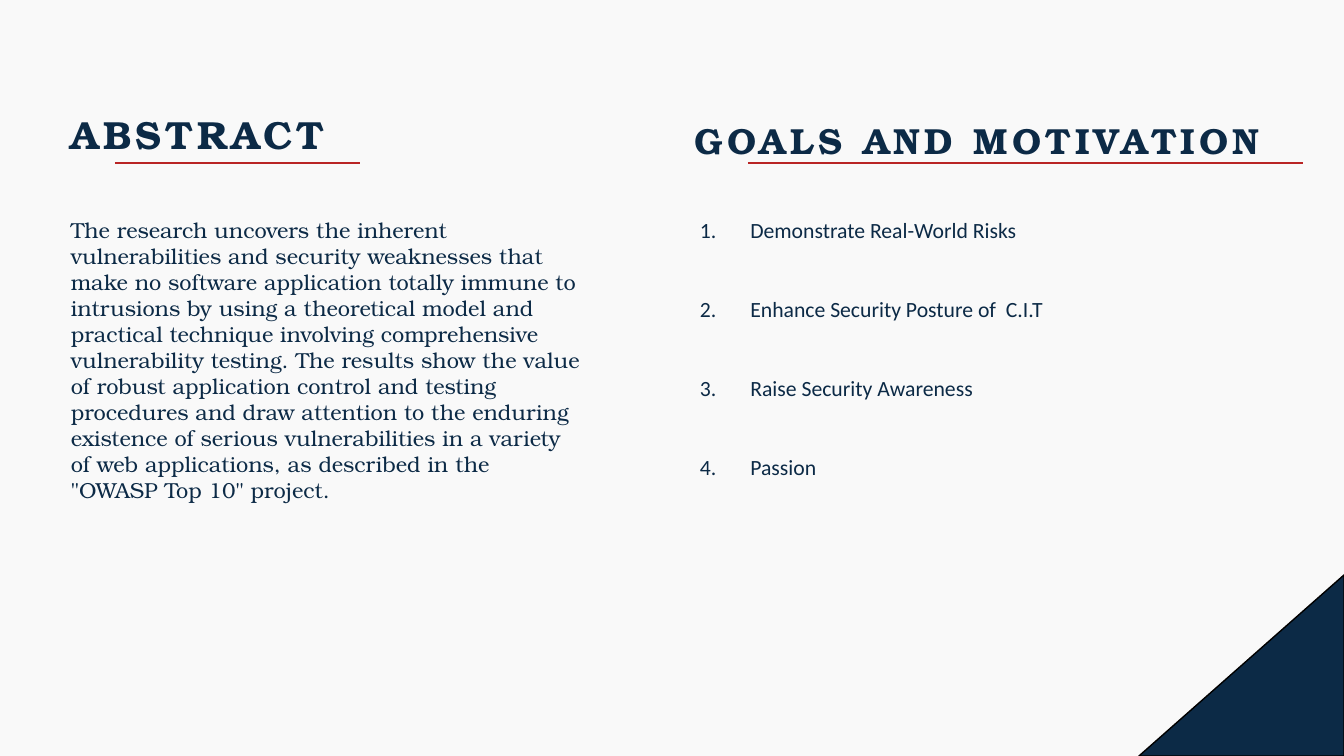
import pptx
import pptx.util
import pptx.dml.color
import pptx.enum.shapes
import pptx.enum.text
import pptx.oxml
import pptx.oxml.ns

COLORS = {"paper": "F9F9F9", "navy": "0C2A46", "red": "B92525", "black": "000000"}
SERIF = "TeX Gyre Bonum"
SANS = "Calibri"
PX = 914400 / 100.8

ABSTRACT = (
    "The research uncovers the inherent vulnerabilities and security weaknesses that "
    "make no software application totally immune to intrusions by using a theoretical "
    "model and practical technique involving comprehensive vulnerability testing. The "
    "results show the value of robust application control and testing procedures and "
    "draw attention to the enduring existence of serious vulnerabilities in a variety "
    'of web applications, as described in the "OWASP Top 10" project.'
)
GOALS = [
    "Demonstrate Real-World Risks",
    "Enhance Security Posture of  C.I.T",
    "Raise Security Awareness",
    "Passion",
]


def px(length):
    return pptx.util.Emu(round(length * PX))


def color(name):
    return pptx.dml.color.RGBColor.from_string(COLORS[name])


class SlideBuilder:
    def __init__(self, deck):
        self.page = deck.slides.add_slide(deck.slide_layouts[6])
        background = self.page.background.fill
        background.solid()
        background.fore_color.rgb = color("paper")

    def text_box(self, left, top, width, height,
                 anchor=pptx.enum.text.MSO_ANCHOR.TOP):
        box = self.page.shapes.add_textbox(px(left), px(top), px(width), px(height))
        frame = box.text_frame
        frame.word_wrap = True
        frame.vertical_anchor = anchor
        return frame

    def add_span(self, para, text, font, size, bold=False, line_spacing=1.0):
        para.space_before = pptx.util.Pt(10)
        para.line_spacing = line_spacing
        span = para.add_run()
        span.text = text
        span.font.name = font
        span.font.size = pptx.util.Pt(size)
        span.font.bold = bold
        span.font.color.rgb = color("navy")
        return span

    def heading(self, text, left, top, size):
        frame = self.text_box(left, top, 597, 101, pptx.enum.text.MSO_ANCHOR.BOTTOM)
        span = self.add_span(frame.paragraphs[0], text, SERIF, size, True, 1.2)
        span._r.get_or_add_rPr().set("spc", "300")

    def body(self, text, left, top, width, height):
        frame = self.text_box(left, top, width, height)
        self.add_span(frame.paragraphs[0], text, SERIF, 15.5)

    def numbered_list(self, items, left, top, width, height):
        frame = self.text_box(left, top, width, height)
        for index, item in enumerate(items):
            para = frame.paragraphs[0] if index == 0 else frame.add_paragraph()
            self.add_span(para, item, SANS, 15.5, line_spacing=2.5 if index else 1.0)
            indent = pptx.util.Inches(0.5)
            properties = para._p.get_or_add_pPr()
            properties.set("marL", str(indent))
            properties.set("indent", str(-indent))
            properties.append(pptx.oxml.parse_xml(
                f'<a:buAutoNum {pptx.oxml.ns.nsdecls("a")} type="arabicPeriod"/>'))

    def rule(self, left, right, y):
        line = self.page.shapes.add_connector(
            pptx.enum.shapes.MSO_CONNECTOR.STRAIGHT, px(left), px(y), px(right), px(y))
        line.line.color.rgb = color("red")
        line.line.width = pptx.util.Pt(1.5)
        line._element.spPr.append(
            pptx.oxml.parse_xml(f'<a:effectLst {pptx.oxml.ns.nsdecls("a")}/>'))

    def corner(self, left, top, width, height):
        triangle = self.page.shapes.add_shape(
            pptx.enum.shapes.MSO_SHAPE.RIGHT_TRIANGLE,
            px(left), px(top), px(width), px(height))
        triangle.rotation = 270
        triangle.shadow.inherit = False
        triangle.fill.solid()
        triangle.fill.fore_color.rgb = color("navy")
        triangle.line.color.rgb = color("black")
        triangle.line.width = pptx.util.Pt(1)


def main():
    deck = pptx.Presentation()
    deck.slide_width, deck.slide_height = px(1344), px(756)
    slide = SlideBuilder(deck)

    # Goals column
    slide.heading("GOALS AND MOTIVATION", 685, 66, 25.9)
    slide.numbered_list(GOALS, 690, 212, 597, 334)

    # Abstract column
    slide.heading("ABSTRACT", 61, 61, 28)
    slide.body(ABSTRACT, 61, 212, 532, 334)

    # Rules under the headings
    for left, right in [(115, 360), (748, 1303)]:
        slide.rule(left, right, 163)

    # Bottom right corner
    slide.corner(1151, 563, 181, 205)

    deck.save("out.pptx")


if __name__ == "__main__":
    main()
